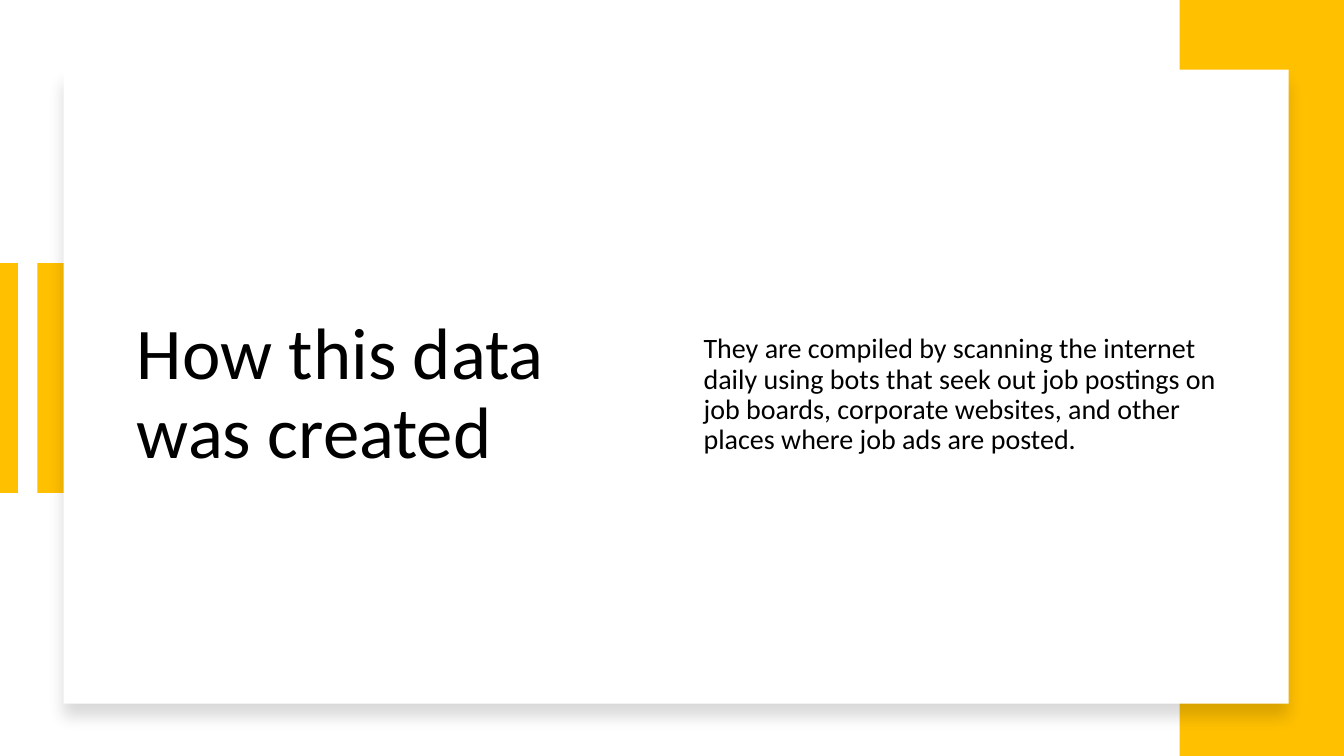
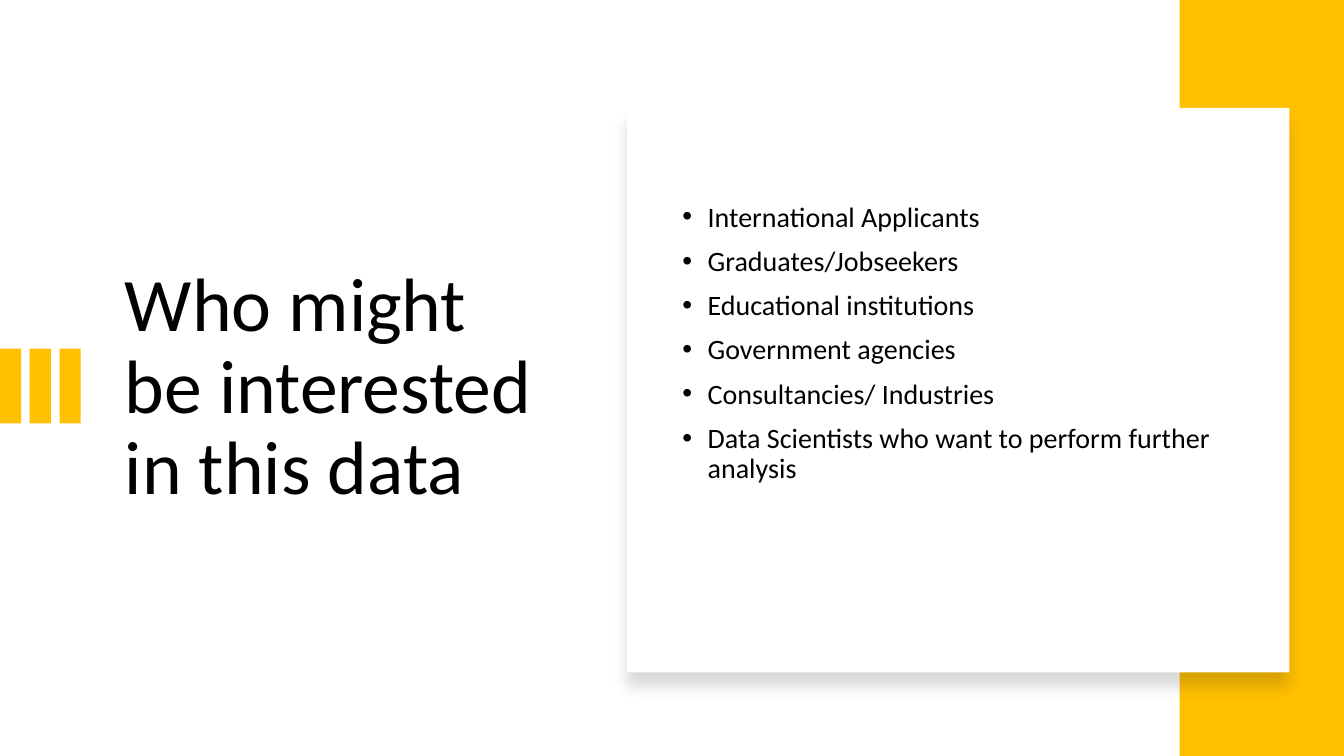
from dataclasses import dataclass

from lxml import etree
from pptx import Presentation
from pptx.dml.color import RGBColor
from pptx.enum.shapes import MSO_CONNECTOR, MSO_SHAPE
from pptx.enum.text import MSO_ANCHOR
from pptx.oxml.ns import qn
from pptx.util import Inches, Pt

RECT = MSO_SHAPE.RECTANGLE
STRAIGHT = MSO_CONNECTOR.STRAIGHT
MIDDLE = MSO_ANCHOR.MIDDLE


@dataclass(frozen=True)
class Theme:
    """Colours, type sizes and spacing shared by the slides."""
    accent: RGBColor = RGBColor(0xFF, 0xC0, 0x00)
    paper: RGBColor = RGBColor(0xFF, 0xFF, 0xFF)
    ink: RGBColor = RGBColor(0x00, 0x00, 0x00)
    font: str = "Calibri"
    title_size: int = 54
    title_size_small: int = 52
    body_size: int = 20
    line_spacing: float = 0.9
    body_gap: int = 10
    bullet_indent: float = 0.25


class Deck:
    """Holds the theme and the current slide, and draws elements on it."""

    def __init__(self, prs, theme):
        """Keep the presentation and the theme."""
        self.prs, self.theme, self.s = prs, theme, None

    def new_slide(self):
        """Start a blank slide with the accent band on its right edge."""
        self.s = self.prs.slides.add_slide(self.prs.slide_layouts[6])
        fill = self.s.background.fill
        fill.solid()
        fill.fore_color.rgb = self.theme.paper
        self.rect(11.7, 0, 1.63, 7.5, self.theme.accent)

    def rect(self, x, y, w, h, color):
        """Add a plain filled rectangle."""
        sp = self.s.shapes.add_shape(RECT, Inches(x), Inches(y), Inches(w), Inches(h))
        sp.shadow.inherit = False
        sp.fill.solid()
        sp.fill.fore_color.rgb = color
        sp.line.fill.background()
        return sp

    def card(self, x, y, w, h):
        """Add a white card with a soft shadow below it."""
        sp = self.rect(x, y, w, h, self.theme.paper)
        effects = sp._element.spPr.find(qn("a:effectLst"))
        shadow = etree.SubElement(
            effects, qn("a:outerShdw"), blurRad=str(Pt(11)), dist=str(Pt(10)),
            dir=str(90 * 60000), algn="t", rotWithShape="0")
        color = etree.SubElement(shadow, qn("a:srgbClr"), val=str(self.theme.ink))
        etree.SubElement(color, qn("a:alpha"), val="15000")

    def vline(self, x, top, bottom, width):
        """Add a vertical accent line."""
        line = self.s.shapes.add_connector(
            STRAIGHT, Inches(x), Inches(top), Inches(x), Inches(bottom))
        line.line.color.rgb = self.theme.accent
        line.line.width = Pt(width)
        etree.SubElement(line._element.spPr, qn("a:effectLst"))

    def text(self, x, y, w, h, paragraphs, size, gap=0, bullets=False):
        """Add a wrapped, vertically centred text box."""
        box = self.s.shapes.add_textbox(Inches(x), Inches(y), Inches(w), Inches(h))
        tf = box.text_frame
        tf.word_wrap = True
        tf.vertical_anchor = MIDDLE
        for i, content in enumerate(paragraphs):
            p = tf.add_paragraph() if i else tf.paragraphs[0]
            p.line_spacing = self.theme.line_spacing
            p.space_before = Pt(gap)
            if bullets:
                self.bullet(p)
            r = p.add_run()
            r.text = content
            r.font.name = self.theme.font
            r.font.size = Pt(size)
            r.font.color.rgb = self.theme.ink

    def bullet(self, p):
        """Give a paragraph a hanging round bullet."""
        indent = Inches(self.theme.bullet_indent)
        pPr = p._p.get_or_add_pPr()
        pPr.set("marL", str(indent))
        pPr.set("indent", str(-indent))
        etree.SubElement(pPr, qn("a:buFont"), typeface="Arial")
        etree.SubElement(pPr, qn("a:buChar"), char="•")

    def title(self, x, y, w, h, content, size):
        """Add the slide title."""
        self.text(x, y, w, h, [content], size)

    def body(self, x, y, w, h, paragraphs, bullets=False):
        """Add body text, with bullets if asked for."""
        self.text(x, y, w, h, paragraphs, self.theme.body_size,
                  self.theme.body_gap, bullets)


def creation_slide(deck):
    """Build the slide on how the data was compiled."""
    deck.new_slide()
    deck.rect(0.37, 2.61, 0.34, 2.28, deck.theme.accent)
    deck.vline(0.08, 2.61, 4.89, 14)
    deck.card(0.63, 0.69, 12.15, 6.29)
    deck.title(1.26, 1.36, 4.38, 5.12, "How this data was created",
               deck.theme.title_size_small)
    deck.body(6.88, 1.36, 5.44, 5.12, [
        "They are compiled by scanning the internet daily using bots that seek "
        "out job postings on job boards, corporate websites, and other places "
        "where job ads are posted."])


def audience_slide(deck):
    """Build the slide on who may use the data."""
    deck.new_slide()
    bars, bar_w, span = 3, 0.21, 0.8
    pitch = (span - bar_w) / (bars - 1)
    for i in range(bars):
        deck.rect(i * pitch, 3.46, bar_w, 0.74, deck.theme.accent)
    deck.card(6.22, 1.07, 6.57, 5.6)
    deck.title(1.14, 1.46, 4.26, 4.79, "Who might be interested in this data",
               deck.theme.title_size)
    deck.body(6.67, 1.46, 5.75, 3.9, [
        "International Applicants",
        "Graduates/Jobseekers",
        "Educational institutions",
        "Government agencies",
        "Consultancies/ Industries",
        "Data Scientists who want to perform further analysis",
    ], bullets=True)


def main():
    """Build and save the presentation."""
    prs = Presentation()
    prs.slide_width, prs.slide_height = Inches(13.33), Inches(7.5)
    deck = Deck(prs, Theme())
    creation_slide(deck)
    audience_slide(deck)
    prs.save("out.pptx")


main()
